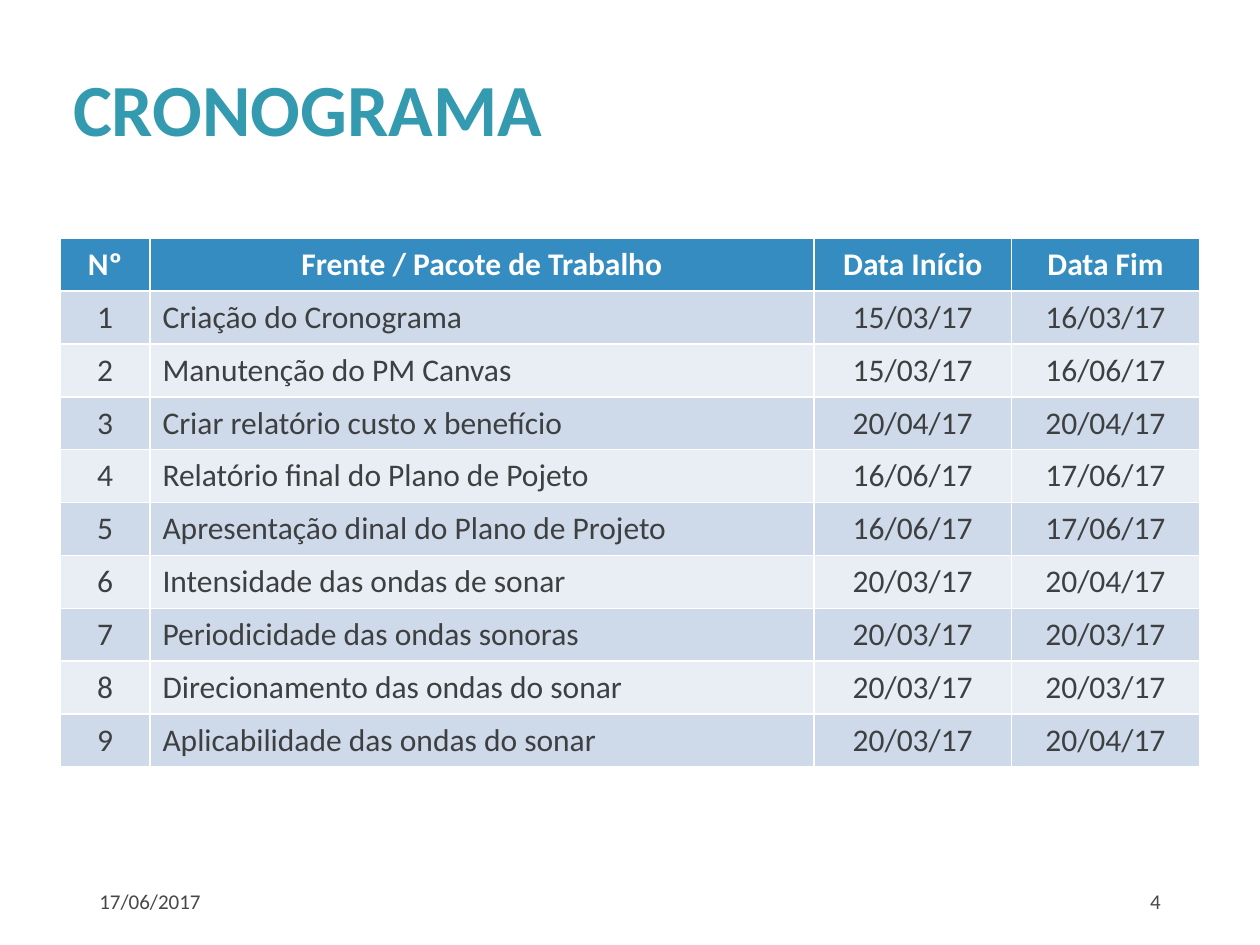
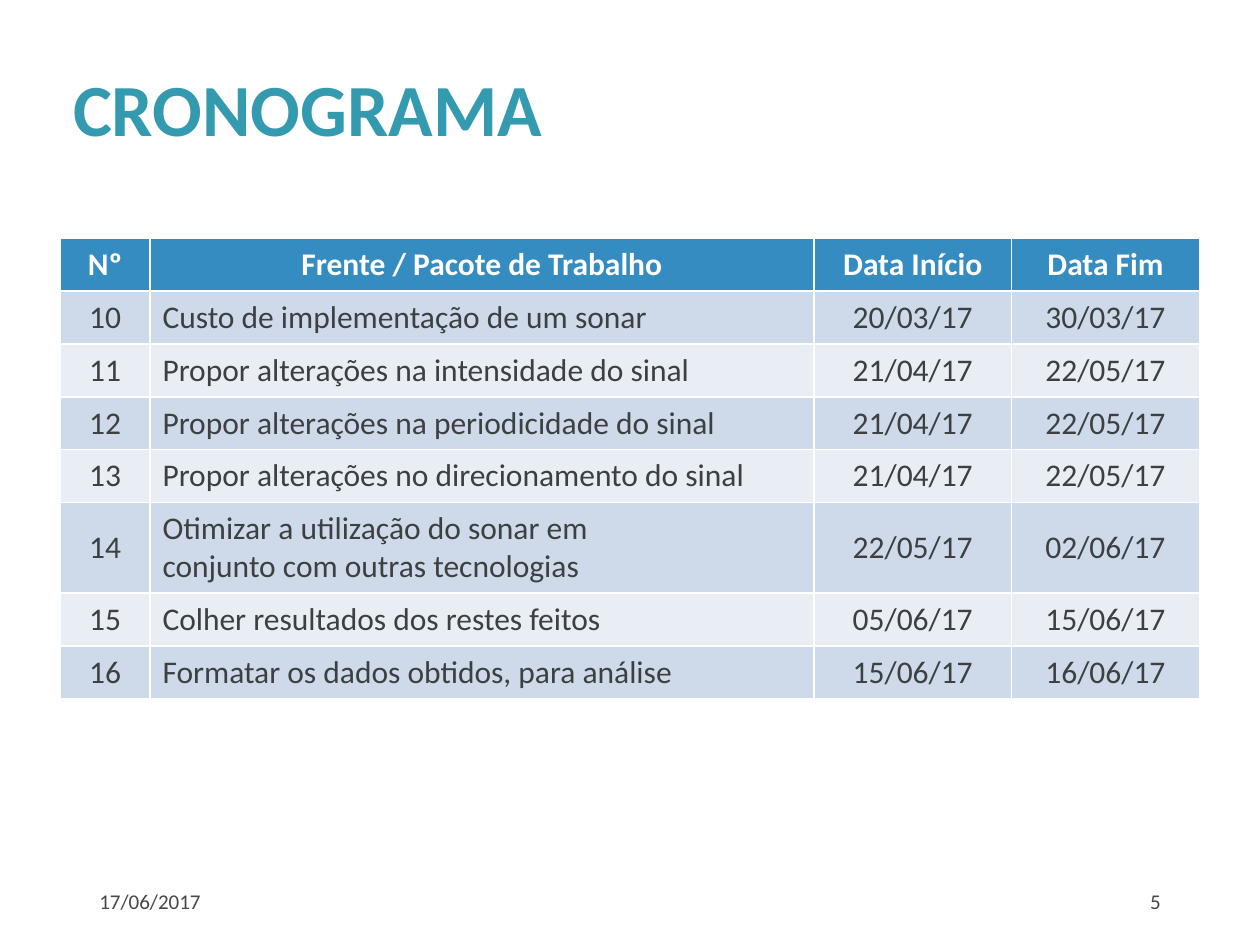
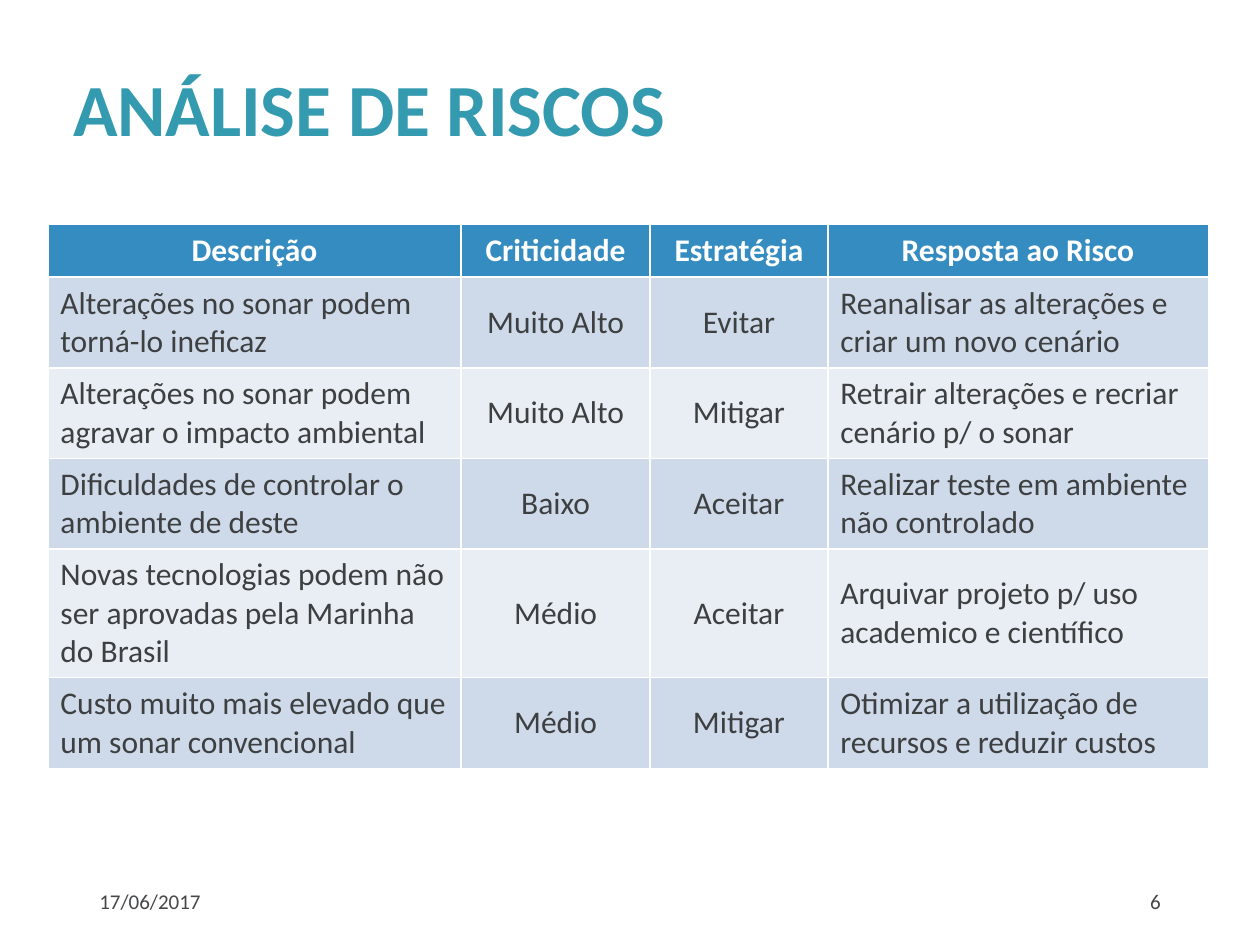
from pptx import Presentation
from pptx.dml.color import RGBColor as RGB
from pptx.enum.text import MSO_ANCHOR as ANCHOR, MSO_AUTO_SIZE as FIT, PP_ALIGN as ALIGN
from pptx.util import Inches, Pt

FONT = "Calibri"
COLORS = {
    "title": "339AAF",
    "footer": "454749",
    "head": "358CC1",
    "head_text": "FFFFFF",
    "body_text": "3D3F41",
    "odd": "CEDAE9",
    "even": "E8EEF4",
}
DATE = "17/06/2017"
FIRST_PAGE = 4
ROW, LINE = 0.42, 0.3  # height of a one-line row, and of each further line

PLAN = {
    "head": ["Nº", "Frente / Pacote de Trabalho", "Data Início", "Data Fim"],
    "at": (0.48, 1.89),
    "cols": [0.71, 5.27, 1.57, 1.49],
    "left_cols": {1},
}
RISKS = {
    "head": ["Descrição", "Criticidade", "Estratégia", "Resposta ao Risco"],
    "at": (0.38, 1.78),
    "cols": [3.28, 1.5, 1.41, 3.02],
    "left_cols": {0, 3},
}

# Each slide: title, table design, rows, lines of text in the taller rows
SLIDES = [
    ("CRONOGRAMA", PLAN, [
        ["1", "Criação do Cronograma", "15/03/17", "16/03/17"],
        ["2", "Manutenção do PM Canvas", "15/03/17", "16/06/17"],
        ["3", "Criar relatório custo x benefício", "20/04/17", "20/04/17"],
        ["4", "Relatório final do Plano de Pojeto", "16/06/17", "17/06/17"],
        ["5", "Apresentação dinal do Plano de Projeto", "16/06/17", "17/06/17"],
        ["6", "Intensidade das ondas de sonar", "20/03/17", "20/04/17"],
        ["7", "Periodicidade das ondas sonoras", "20/03/17", "20/03/17"],
        ["8", "Direcionamento das ondas do sonar", "20/03/17", "20/03/17"],
        ["9", "Aplicabilidade das ondas do sonar", "20/03/17", "20/04/17"],
    ], {}),
    ("CRONOGRAMA", PLAN, [
        ["10", "Custo de implementação de um sonar", "20/03/17", "30/03/17"],
        ["11", "Propor alterações na intensidade do sinal", "21/04/17", "22/05/17"],
        ["12", "Propor alterações na periodicidade do sinal", "21/04/17", "22/05/17"],
        ["13", "Propor alterações no direcionamento do sinal", "21/04/17", "22/05/17"],
        ["14", "Otimizar a utilização do sonar em\nconjunto com outras tecnologias",
         "22/05/17", "02/06/17"],
        ["15", "Colher resultados dos restes feitos", "05/06/17", "15/06/17"],
        ["16", "Formatar os dados obtidos, para análise", "15/06/17", "16/06/17"],
    ], {5: 2}),
    ("ANÁLISE DE RISCOS", RISKS, [
        ["Alterações no sonar podem torná-lo ineficaz", "Muito Alto", "Evitar",
         "Reanalisar as alterações e criar um novo cenário"],
        ["Alterações no sonar podem agravar o impacto ambiental", "Muito Alto", "Mitigar",
         "Retrair alterações e recriar cenário p/ o sonar"],
        ["Dificuldades de controlar o ambiente de deste", "Baixo", "Aceitar",
         "Realizar teste em ambiente não controlado"],
        ["Novas tecnologias podem não ser aprovadas pela Marinha do Brasil", "Médio", "Aceitar",
         "Arquivar projeto p/ uso academico e científico"],
        ["Custo muito mais elevado que um sonar convencional", "Médio", "Mitigar",
         "Otimizar a utilização de recursos e reduzir custos"],
    ], {1: 2, 2: 2, 3: 2, 4: 3, 5: 2}),
]


def style(frame, size, color, align=ALIGN.LEFT, bold=False):
    """Format every paragraph of a text frame alike."""
    for para in frame.paragraphs:
        para.alignment = align
        para.font.name = FONT
        para.font.size = Pt(size)
        para.font.bold = bold
        para.font.color.rgb = RGB.from_string(COLORS[color])


prs = Presentation()
prs.slide_width, prs.slide_height = Inches(10), Inches(7.5)

for page, (name, design, body, lines) in enumerate(SLIDES, FIRST_PAGE):
    slide = prs.slides.add_slide(prs.slide_layouts[5])

    title = slide.shapes.title
    title.left, title.top = Inches(0.48), Inches(0.46)
    title.width, title.height = Inches(9.05), Inches(0.77)
    frame = title.text_frame
    frame.text = name
    frame.auto_size = FIT.NONE
    frame.vertical_anchor = ANCHOR.BOTTOM
    frame.margin_top = frame.margin_bottom = Inches(0.03)
    style(frame, 42, "title", bold=True)

    for left, text, align in [(0.69, DATE, ALIGN.LEFT), (7.06, str(page), ALIGN.RIGHT)]:
        box = slide.shapes.add_textbox(Inches(left), Inches(6.95), Inches(2.25), Inches(0.4))
        frame = box.text_frame
        frame.text = text
        frame.word_wrap = True
        frame.vertical_anchor = ANCHOR.MIDDLE
        style(frame, 12, "footer", align)

    rows = [design["head"]] + body
    heights = [ROW + LINE * (lines.get(r, 1) - 1) for r in range(len(rows))]
    left, top = design["at"]
    table = slide.shapes.add_table(
        len(rows), len(design["cols"]), Inches(left), Inches(top),
        Inches(sum(design["cols"])), Inches(sum(heights))).table
    for col, width in zip(table.columns, design["cols"]):
        col.width = Inches(width)
    for r, row in enumerate(rows):
        table.rows[r].height = Inches(heights[r])
        fill = "head" if r == 0 else "odd" if r % 2 else "even"
        for c, text in enumerate(row):
            cell = table.cell(r, c)
            cell.text = text
            cell.vertical_anchor = ANCHOR.MIDDLE
            cell.fill.solid()
            cell.fill.fore_color.rgb = RGB.from_string(COLORS[fill])
            align = ALIGN.LEFT if r and c in design["left_cols"] else ALIGN.CENTER
            style(cell.text_frame, 18, "body_text" if r else "head_text", align, r == 0)

prs.save("out.pptx")
